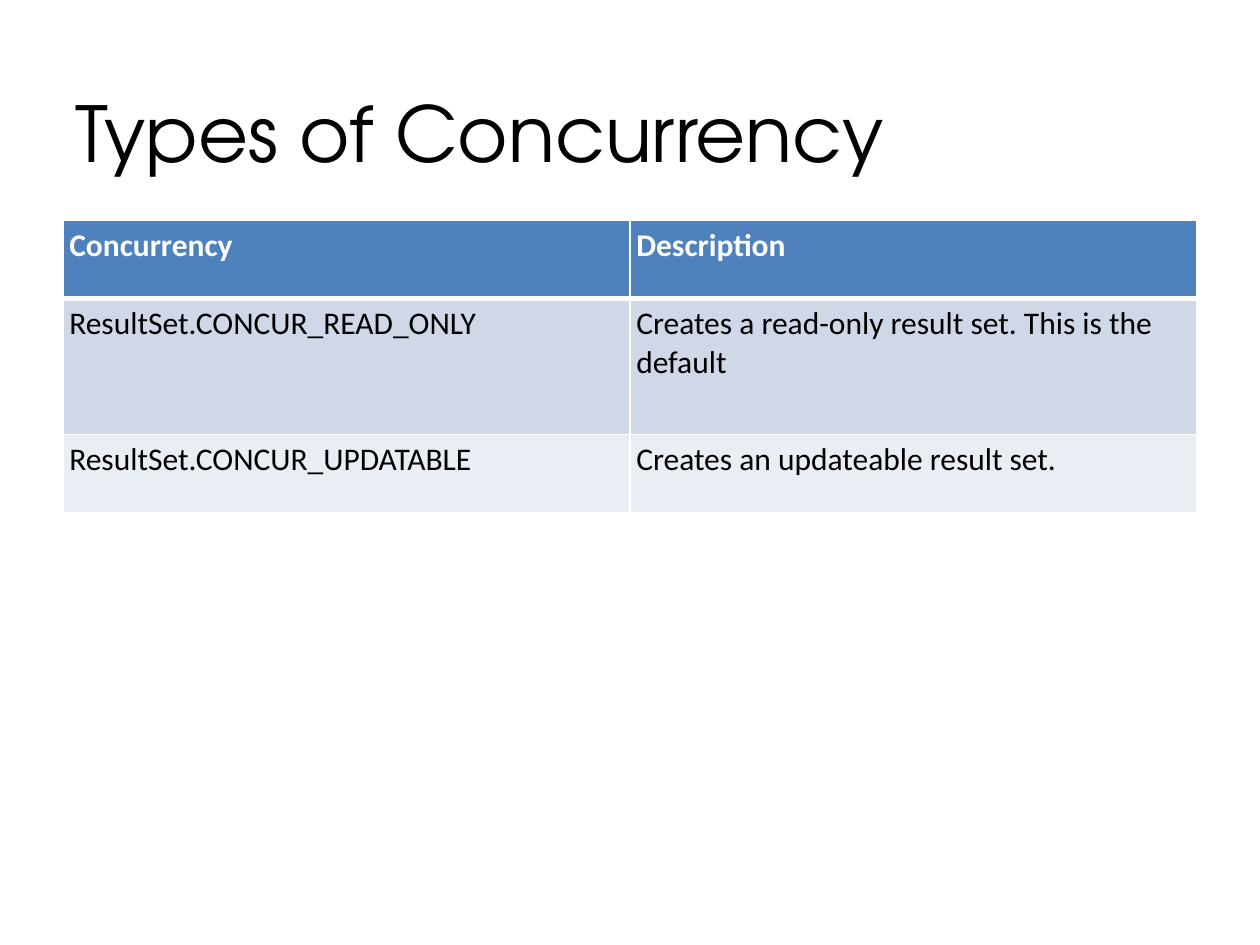
from dataclasses import dataclass

from lxml import etree
from pptx import Presentation
from pptx.dml.color import RGBColor
from pptx.enum.text import MSO_ANCHOR
from pptx.oxml.ns import qn
from pptx.util import Inches, Pt

MIDDLE = MSO_ANCHOR.MIDDLE
BLACK = RGBColor(0x00, 0x00, 0x00)
WHITE = RGBColor(0xFF, 0xFF, 0xFF)
HEADER_BLUE = RGBColor(0x4F, 0x81, 0xBD)
BAND_DARK = RGBColor(0xD0, 0xD8, 0xE8)
BAND_LIGHT = RGBColor(0xE9, 0xED, 0xF4)

SLIDE_WIDTH = Inches(10)
SLIDE_HEIGHT = Inches(7.5)
MARGIN = int(SLIDE_WIDTH * 0.05)
CONTENT_WIDTH = SLIDE_WIDTH - 2 * MARGIN
CELL_MARGIN = Inches(0.05)
THIN_LINE = Pt(1)
HEADER_LINE = Pt(3)


@dataclass(frozen=True)
class TableRow:
    texts: tuple[str, str]
    height: float
    fill: RGBColor
    color: RGBColor = BLACK
    bold: bool = False
    top_line: int = THIN_LINE
    bottom_line: int = THIN_LINE


ROWS = (
    TableRow(("Concurrency", "Description"), 0.62, HEADER_BLUE, WHITE, True,
             bottom_line=HEADER_LINE),
    TableRow(("ResultSet.CONCUR_READ_ONLY",
              "Creates a read-only result set. This is the default"),
             1.08, BAND_DARK, top_line=HEADER_LINE),
    TableRow(("ResultSet.CONCUR_UPDATABLE", "Creates an updateable result set."),
             0.62, BAND_LIGHT),
)


def write_text(text_frame, text: str, size: int, font_name: str,
               color: RGBColor, bold: bool = False) -> None:
    run = text_frame.paragraphs[0].add_run()
    run.text = text
    formats = {"size": Pt(size), "name": font_name, "bold": bold}
    for attribute, value in formats.items():
        setattr(run.font, attribute, value)
    run.font.color.rgb = color


def add_title(slide, text: str) -> None:
    shape = slide.shapes.add_textbox(
        MARGIN, Inches(0.42), CONTENT_WIDTH, Inches(1.25))
    shape.text_frame.word_wrap = True
    shape.text_frame.vertical_anchor = MIDDLE
    write_text(shape.text_frame, text, 44, "TeX Gyre Adventor", BLACK)


def add_borders(cell, row: TableRow) -> None:
    properties = cell._tc.get_or_add_tcPr()
    widths = {"lnL": THIN_LINE, "lnR": THIN_LINE,
              "lnT": row.top_line, "lnB": row.bottom_line}
    for side, width in widths.items():
        line = etree.SubElement(properties, qn(f"a:{side}"), w=str(int(width)))
        fill = etree.SubElement(line, qn("a:solidFill"))
        etree.SubElement(fill, qn("a:srgbClr"), val=str(WHITE))


def format_cell(cell, row: TableRow, text: str) -> None:
    for side in ("left", "right", "top", "bottom"):
        setattr(cell, f"margin_{side}", CELL_MARGIN)
    add_borders(cell, row)
    cell.fill.solid()
    cell.fill.fore_color.rgb = row.fill
    write_text(cell.text_frame, text, 18, "Calibri", row.color, row.bold)


def add_concurrency_table(slide, rows: tuple[TableRow, ...]) -> None:
    height = Inches(sum(row.height for row in rows))
    shape = slide.shapes.add_table(
        len(rows), len(rows[0].texts), MARGIN, Inches(1.75), CONTENT_WIDTH, height)
    table = shape.table
    for row_index, row in enumerate(rows):
        table.rows[row_index].height = Inches(row.height)
        for column_index, text in enumerate(row.texts):
            format_cell(table.cell(row_index, column_index), row, text)


def main() -> None:
    presentation = Presentation()
    presentation.slide_width = SLIDE_WIDTH
    presentation.slide_height = SLIDE_HEIGHT
    slide = presentation.slides.add_slide(presentation.slide_layouts[6])
    add_title(slide, "Types of Concurrency")
    add_concurrency_table(slide, ROWS)
    presentation.save("out.pptx")


if __name__ == "__main__":
    main()
